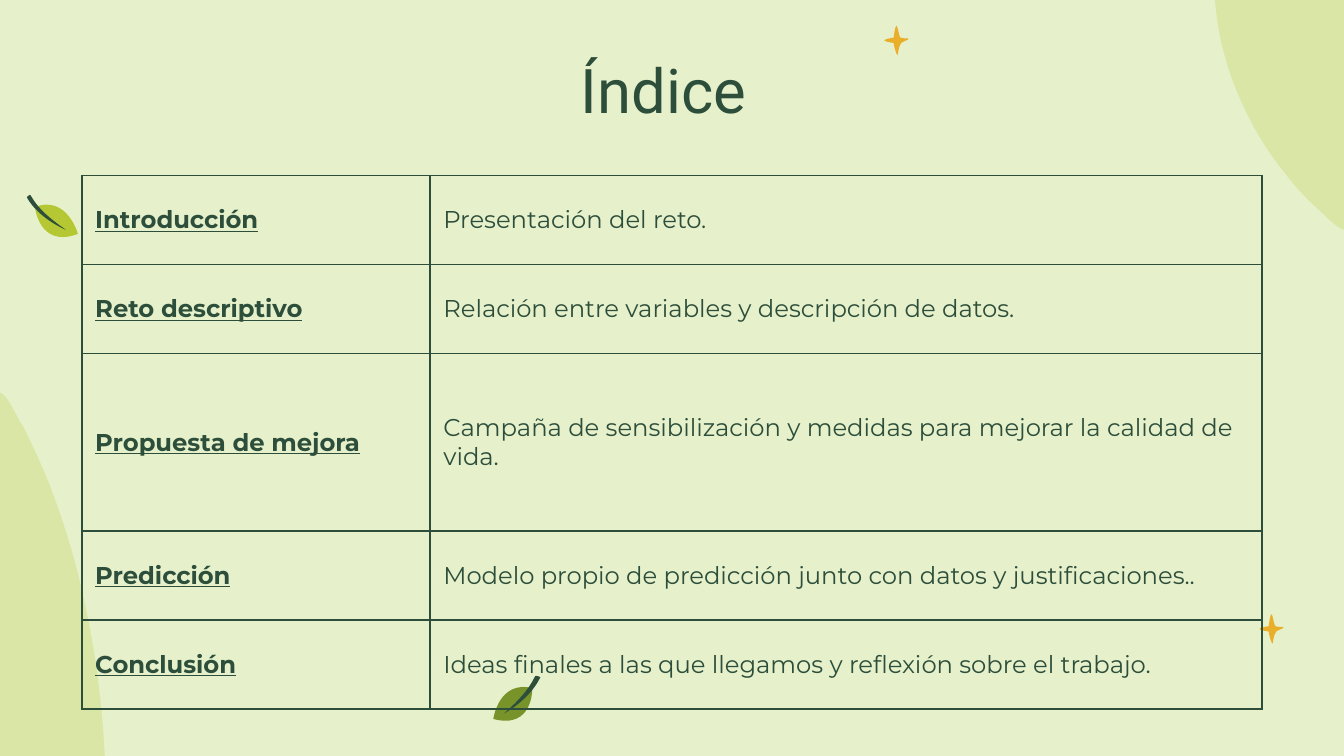
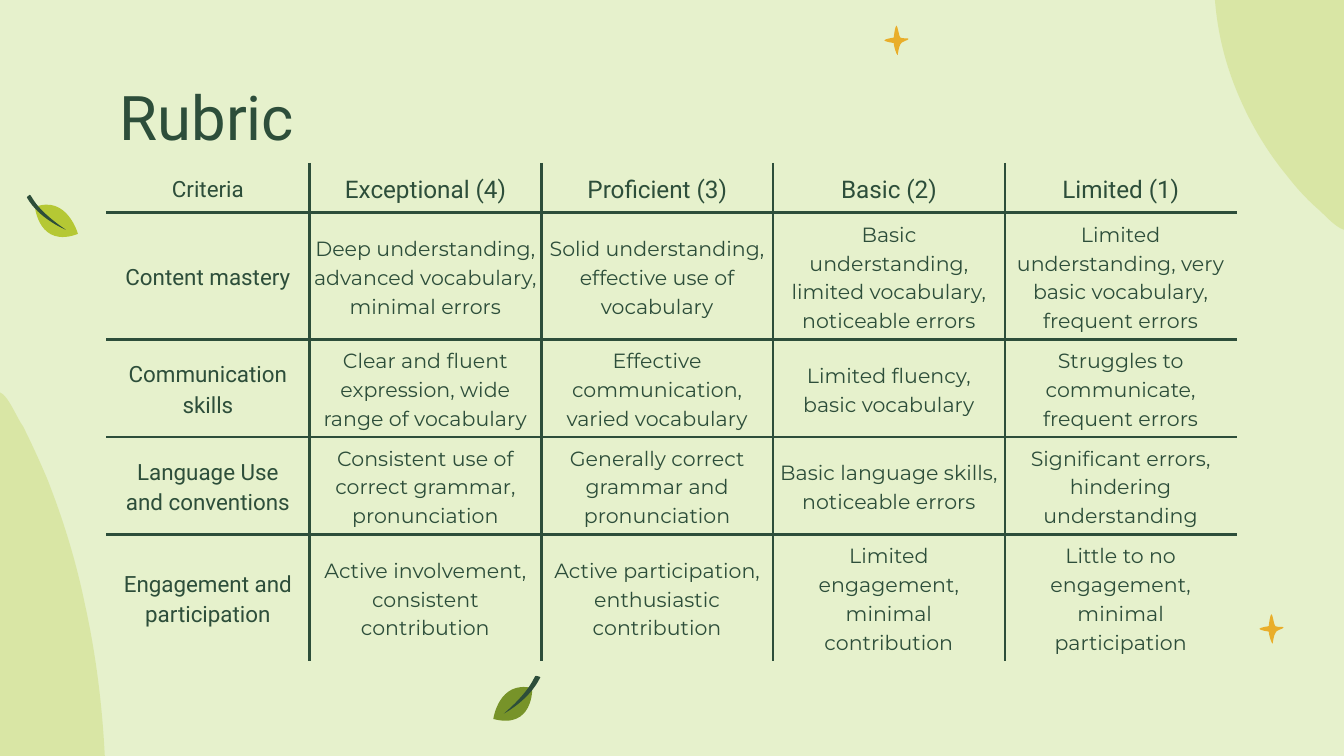
from itertools import chain
from math import cos, radians, sin

from lxml.etree import SubElement
from pptx import Presentation
from pptx.dml.color import RGBColor
from pptx.enum.text import MSO_ANCHOR as Anchor, PP_ALIGN as Align
from pptx.oxml.ns import qn
from pptx.util import Cm, Pt

GREEN, LIME, OLIVE, GOLD, PALE = "2D4E3A", "B5C834", "779329", "E9AE2A", "E6F1CC"
HEAD_FONT, BODY_FONT = "Roboto", "Montserrat"
GRID = Cm(2.54)

CORNER_HILL = [
    (9.04, 0), (10, 0), (10, 1.71),
    (9.93, 1.69, 9.84, 1.58, 9.8, 1.55),
    (9.71, 1.47, 9.64, 1.39, 9.57, 1.3),
    (9.43, 1.13, 9.31, 0.93, 9.22, 0.72),
    (9.12, 0.49, 9.06, 0.25, 9.04, 0),
]
SIDE_HILL = [
    (0.78, 5.63), (0, 5.63), (0, 2.92),
    (0.06, 2.94, 0.13, 3.12, 0.17, 3.17),
    (0.23, 3.29, 0.29, 3.42, 0.35, 3.56),
    (0.46, 3.84, 0.56, 4.15, 0.63, 4.49),
    (0.71, 4.85, 0.76, 5.23, 0.78, 5.63),
]
LEFT_BLADE = [
    (0.26, 1.54),
    (0.26, 1.54, 0.29, 1.85, 0.58, 1.74),
    (0.58, 1.74, 0.5, 1.45, 0.26, 1.54),
]
LEFT_STEM = [
    (0.49, 1.71),
    (0.49, 1.71, 0.29, 1.63, 0.2, 1.47),
    (0.2, 1.47, 0.2, 1.46, 0.22, 1.45),
    (0.24, 1.45, 0.24, 1.54, 0.49, 1.71),
]
LOWER_BLADE = [
    (3.96, 5.12),
    (3.96, 5.12, 3.97, 5.43, 3.67, 5.35),
    (3.67, 5.35, 3.71, 5.06, 3.96, 5.12),
]
LOWER_STEM = [
    (3.75, 5.31),
    (3.75, 5.31, 3.94, 5.21, 4.02, 5.04),
    (4.02, 5.04, 4.01, 5.03, 3.99, 5.03),
    (3.97, 5.02, 3.98, 5.11, 3.75, 5.31),
]
STAR = [
    (0.07, 0.09),
    (0.07, 0.09, 0.08, 0, 0.09, 0),
    (0.1, 0, 0.11, 0.09, 0.12, 0.09),
    (0.14, 0.1, 0.18, 0.09, 0.18, 0.1),
    (0.18, 0.11, 0.12, 0.12, 0.12, 0.14),
    (0.11, 0.15, 0.1, 0.21, 0.1, 0.22),
    (0.09, 0.22, 0.07, 0.15, 0.07, 0.13),
    (0.07, 0.13, 0, 0.12, 0, 0.11),
    (0, 0.1, 0.07, 0.09, 0.07, 0.09),
]

INDEX = [
    ("Introducción", "Presentación del reto."),
    ("Reto descriptivo", "Relación entre variables y descripción de datos."),
    ("Propuesta de mejora",
     "Campaña de sensibilización y medidas para mejorar la calidad de vida."),
    ("Predicción", "Modelo propio de predicción junto con datos y justificaciones.."),
    ("Conclusión", "Ideas finales a las que llegamos y reflexión sobre el trabajo."),
]
RUBRIC = [
    ("Criteria", "Exceptional (4)", "Proficient (3)", "Basic (2)", "Limited (1)"),
    ("Content mastery",
     "Deep understanding, advanced vocabulary, minimal errors",
     "Solid understanding, effective use of vocabulary",
     "Basic understanding, limited vocabulary, noticeable errors",
     "Limited understanding, very basic vocabulary, frequent errors"),
    ("Communication skills",
     "Clear and fluent expression, wide range of vocabulary",
     "Effective communication, varied vocabulary",
     "Limited fluency, basic vocabulary",
     "Struggles to communicate, frequent errors"),
    ("Language Use and conventions",
     "Consistent use of correct grammar, pronunciation",
     "Generally correct grammar and pronunciation",
     "Basic language skills, noticeable errors",
     "Significant errors, hindering understanding"),
    ("Engagement and participation",
     "Active involvement, consistent contribution",
     "Active participation, enthusiastic contribution",
     "Limited engagement, minimal contribution",
     "Little to no engagement, minimal participation"),
]


def paint(fill, color):
    fill.solid()
    fill.fore_color.rgb = RGBColor.from_string(color)


def turn(x, y, degrees):
    angle = radians(degrees)
    return x * cos(angle) - y * sin(angle), x * sin(angle) + y * cos(angle)


def bend_path(shape, outline):
    path = next(shape.element.iter(qn("a:path")))
    lines = iter(path.findall(qn("a:lnTo")))
    for part in outline[1:]:
        segment = next(lines)
        if len(part) == 6:
            segment.tag = qn("a:cubicBezTo")
            for extra in (next(lines), next(lines)):
                segment.append(extra[0])
                path.remove(extra)


def add_outline(page, outline, color, left=0, top=0, rotation=0, alpha=None):
    numbers = list(chain.from_iterable(outline))
    points = [turn((left + x) * GRID, (top + y) * GRID, -rotation)
              for x, y in zip(numbers[::2], numbers[1::2])]
    builder = page.shapes.build_freeform(*points[0])
    builder.add_line_segments(points[1:], close=True)
    shape = builder.convert_to_shape()
    bend_path(shape, outline)
    half_width, half_height = shape.width / 2, shape.height / 2
    middle_x, middle_y = turn(shape.left + half_width, shape.top + half_height, rotation)
    shape.left, shape.top = round(middle_x - half_width), round(middle_y - half_height)
    shape.rotation = rotation
    shape.shadow.inherit = False
    shape.line.fill.background()
    paint(shape.fill, color)
    if alpha:
        tint = next(shape.element.iter(qn("a:srgbClr")))
        SubElement(tint, qn("a:alpha"), val=str(alpha * 1000))
    return shape


def decorate_layout(layout, page):
    for holder in list(layout.placeholders)[1:]:
        layout.shapes.element.remove(holder.element)
    decorations = [
        add_outline(page, CORNER_HILL, LIME, rotation=270, alpha=25),
        add_outline(page, SIDE_HILL, LIME, rotation=90, alpha=25),
        add_outline(page, LEFT_BLADE, LIME, rotation=163),
        add_outline(page, LEFT_STEM, GREEN, rotation=163),
        add_outline(page, STAR, GOLD, 9.37, 4.57),
        add_outline(page, STAR, GOLD, 6.58, 0.19),
        add_outline(page, LOWER_BLADE, OLIVE, rotation=189.9),
        add_outline(page, LOWER_STEM, GREEN, rotation=189.9),
    ]
    for shape in decorations:
        layout.shapes.element.append(shape.element)


def add_span(para, text, size, font, strong=False):
    span = para.add_run()
    span.text = text
    span.font.size = Pt(size)
    span.font.name = font
    span.font.color.rgb = RGBColor.from_string(GREEN)
    span.font.bold = strong
    span.font.underline = strong


def set_insets(target, across, down):
    target.margin_left = target.margin_right = Cm(across)
    target.margin_top = target.margin_bottom = Cm(down)


def set_title(page, text, left, top, width, align):
    title = page.shapes.title
    title.left, title.top, title.width, title.height = map(Cm, (left, top, width, 1.6))
    box = title.text_frame
    box.word_wrap = True
    box.vertical_anchor = Anchor.TOP
    set_insets(box, 0.25, 0.25)
    para = box.paragraphs[0]
    para.alignment = align
    add_span(para, text, 33, HEAD_FONT)


def add_grid(page, left, top, widths, heights):
    frame = page.shapes.add_table(len(heights), len(widths), Cm(left), Cm(top),
                                  Cm(sum(widths)), Cm(sum(heights)))
    table = frame.table
    table.first_row = table.horz_banding = False
    for column, width in zip(table.columns, widths):
        column.width = Cm(width)
    for row, height in zip(table.rows, heights):
        row.height = Cm(height)
    return table


def set_borders(cell, width, hidden=()):
    cell.fill.background()
    properties = cell.fill._xPr
    for place, side in enumerate("LRTB"):
        line = SubElement(properties, qn("a:ln" + side), w=str(Pt(width)))
        if side in hidden:
            SubElement(line, qn("a:noFill"))
        else:
            SubElement(SubElement(line, qn("a:solidFill")), qn("a:srgbClr"), val=GREEN)
        properties.insert(place, line)


def fill_cell(cell, text, size, font, insets, align=Align.LEFT, spacing=1.0, strong=False):
    cell.vertical_anchor = Anchor.MIDDLE
    set_insets(cell, *insets)
    para = cell.text_frame.paragraphs[0]
    para.alignment = align
    para.line_spacing = spacing
    add_span(para, text, size, font, strong)


def outer_sides(row, column, last_row, last_column):
    edges = {"L": column == 0, "R": column == last_column,
             "T": row == 0, "B": row == last_row}
    return [side for side, outer in edges.items() if outer]


def rubric_style(row, column):
    if row == 0:
        return (13 if column else 12), HEAD_FONT, (0.25, 0.13)
    if column == 0:
        return 12, HEAD_FONT, (0.25, 0.18)
    return 11, BODY_FONT, (0 if row == column == 1 else 0.13, 0.08)


def build_index(page):
    set_title(page, "Índice", 10.52, 0.74, 4.04, Align.CENTER)
    heights = [1.68, 1.68, 3.36, 1.68, 1.68]
    table = add_grid(page, 1.55, 3.32, [6.58, 15.72], heights)
    for cell, (position, text) in zip(table.iter_cells(),
                                      enumerate(chain.from_iterable(INDEX))):
        fill_cell(cell, text, 13, BODY_FONT, (0.25, 0), strong=position % 2 == 0)
        set_borders(cell, 1)


def build_rubric(page):
    set_title(page, "Rubric", 2.01, 1.24, 21.41, Align.LEFT)
    table = add_grid(page, 2.01, 3.08, [3.84] + [4.38] * 4,
                     [0.94, 2.4, 1.84, 1.84, 2.4])
    for row, texts in enumerate(RUBRIC):
        for column, text in enumerate(texts):
            cell = table.cell(row, column)
            fill_cell(cell, text, *rubric_style(row, column), Align.CENTER, 1.15)
            set_borders(cell, 1.5, outer_sides(row, column, len(RUBRIC) - 1, len(texts) - 1))


def main():
    deck = Presentation()
    deck.slide_width, deck.slide_height = Cm(25.4), Cm(14.29)
    paint(deck.slide_master.background.fill, PALE)
    layout = deck.slide_layouts.get_by_name("Title Only")
    index_page = deck.slides.add_slide(layout)
    rubric_page = deck.slides.add_slide(layout)
    decorate_layout(layout, index_page)
    build_index(index_page)
    build_rubric(rubric_page)
    deck.save("out.pptx")


if __name__ == "__main__":
    main()
